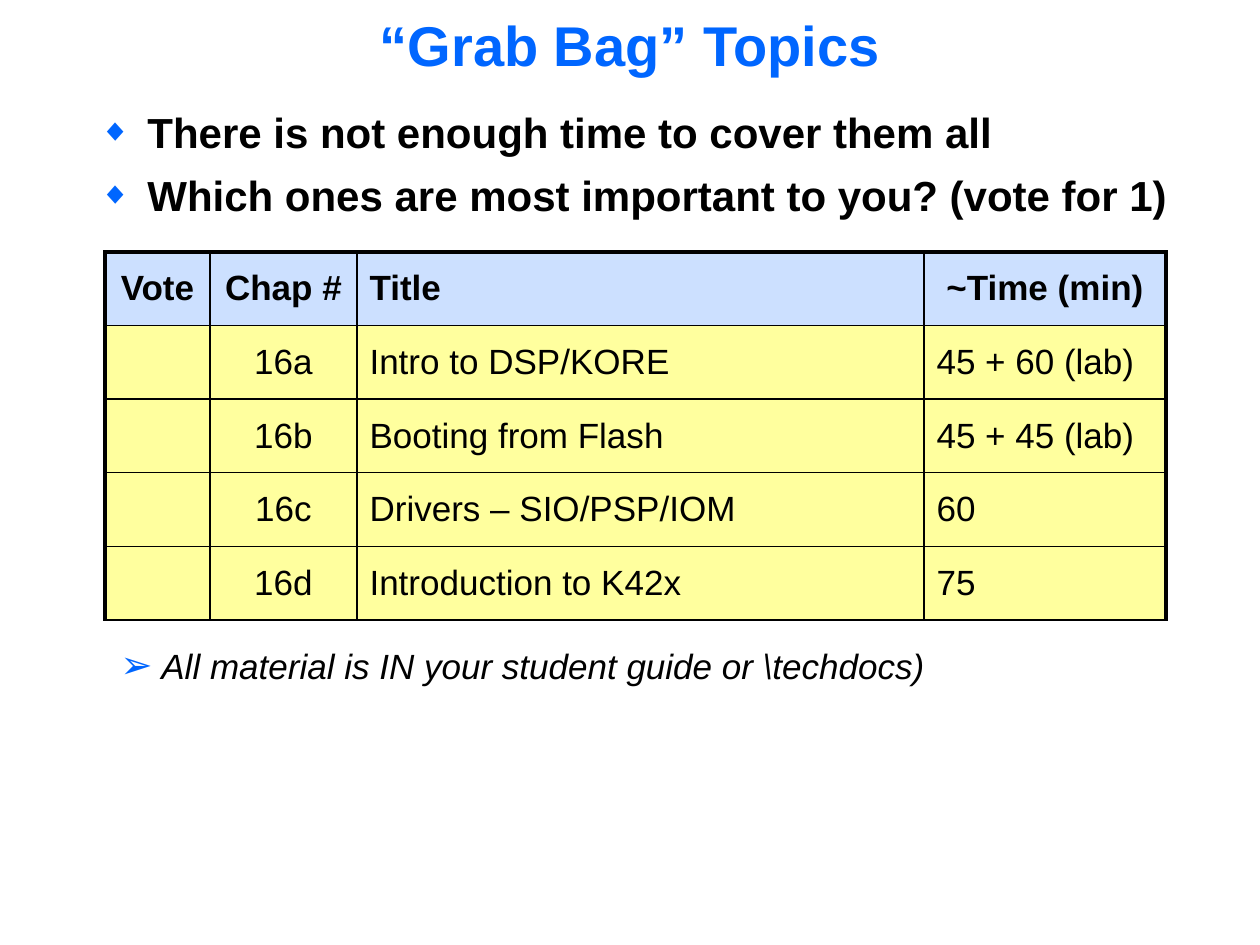
from lxml import etree
from pptx import Presentation
from pptx import util as u
from pptx.dml import color
from pptx.enum import text
from pptx.oxml import ns

SCALE = 914400 / 126
FONT = "Arial"
COLORS = {"accent": "0066FF", "ink": "000000", "header": "CCE0FF", "body": "FFFF9E"}
CENTER, LEFT = text.PP_ALIGN.CENTER, text.PP_ALIGN.LEFT
MIDDLE, TOP = text.MSO_ANCHOR.MIDDLE, text.MSO_ANCHOR.TOP


def px(length):
    return u.Emu(round(length * SCALE))


def rgb(name):
    return color.RGBColor.from_string(COLORS[name])


def add_span(para, words, size, shade="ink", bold=False, italic=False):
    span = para.add_run()
    span.text = words
    font = span.font
    font.name, font.size = FONT, u.Pt(size)
    font.bold, font.italic = bold, italic
    font.color.rgb = rgb(shade)


def add_child(parent, tag, **attributes):
    child = etree.SubElement(parent, ns.qn(tag))
    for key, value in attributes.items():
        child.set(key, str(value))
    return child


def add_bullet(para, mark, percent, indent):
    props = para._p.get_or_add_pPr()
    props.set("marL", str(px(indent)))
    props.set("indent", str(-px(indent)))
    add_child(add_child(props, "a:buClr"), "a:srgbClr", val=COLORS["accent"])
    add_child(props, "a:buSzPct", val=percent * 1000)
    add_child(props, "a:buFont", typeface=FONT)
    add_child(props, "a:buChar", char=mark)


def add_text_frame(page, box, anchor):
    frame = page.shapes.add_textbox(*map(px, box)).text_frame
    frame.word_wrap = True
    frame.vertical_anchor = anchor
    return frame


def add_title(page, box, words):
    frame = add_text_frame(page, box, TOP)
    frame.margin_top = px(11)
    para = frame.paragraphs[0]
    para.alignment = CENTER
    add_span(para, words, 32, "accent", bold=True)


def add_bullets(page, box, lines, mark, percent, indent, size, **style):
    frame = add_text_frame(page, box, MIDDLE)
    for index, words in enumerate(lines):
        para = frame.add_paragraph() if index else frame.paragraphs[0]
        para.line_spacing = 0.8
        if index:
            para.space_before = u.Pt(12.8)
        add_bullet(para, mark, percent, indent)
        add_span(para, words, size, **style)


def add_border(cell, side, width):
    line = add_child(cell._tc.get_or_add_tcPr(), f"a:ln{side}", w=u.Pt(width))
    add_child(add_child(line, "a:solidFill"), "a:srgbClr", val=COLORS["ink"])


def add_topics(page, box, widths, rows):
    table = page.shapes.add_table(len(rows), len(widths), *map(px, box)).table
    for column, width in zip(table.columns, widths):
        column.width = px(width)
    last = len(widths) - 1
    for r, row in enumerate(rows):
        table.rows[r].height = px(box[3] / len(rows))
        for c, words in enumerate(row):
            cell = table.cell(r, c)
            outer = {"L": c == 0, "R": c == last, "T": r == 0, "B": False}
            for side, thick in outer.items():
                add_border(cell, side, 2.25 if thick else 1)
            cell.fill.solid()
            cell.fill.fore_color.rgb = rgb("body" if r else "header")
            cell.vertical_anchor = MIDDLE
            para = cell.text_frame.paragraphs[0]
            para.alignment = CENTER if c < 2 or (r == 0 and c == last) else LEFT
            if words:
                add_span(para, words, 20, bold=r == 0)


deck = Presentation()
deck.slide_width, deck.slide_height = px(1260), px(945)
page = deck.slides.add_slide(deck.slide_layouts[6])

add_title(page, (0, 0, 1260, 102), "“Grab Bag” Topics")
add_bullets(page, (87, 108, 1103, 120), [
    "There is not enough time to cover them all",
    "Which ones are most important to you? (vote for 1)",
], "◆", 75, 48, 24, bold=True)
add_bullets(page, (108, 646, 834, 47), [
    "All material is IN your student guide or \\techdocs)",
], "➢", 110, 41, 20, italic=True)
add_topics(page, (105, 252, 1061, 368), (105, 147, 567, 242), [
    ("Vote", "Chap #", "Title", "~Time (min)"),
    ("", "16a", "Intro to DSP/KORE", "45 + 60 (lab)"),
    ("", "16b", "Booting from Flash", "45 + 45 (lab)"),
    ("", "16c", "Drivers – SIO/PSP/IOM", "60"),
    ("", "16d", "Introduction to K42x", "75"),
])

deck.save("out.pptx")
